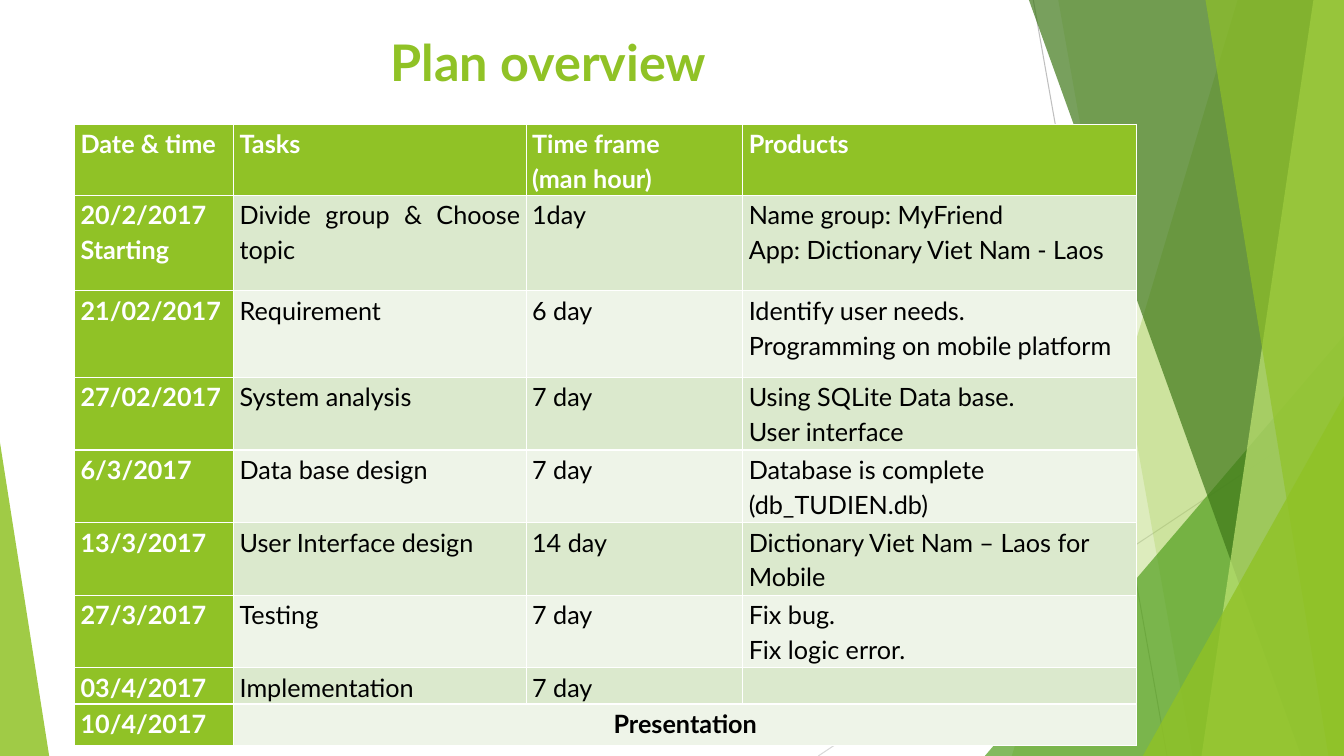
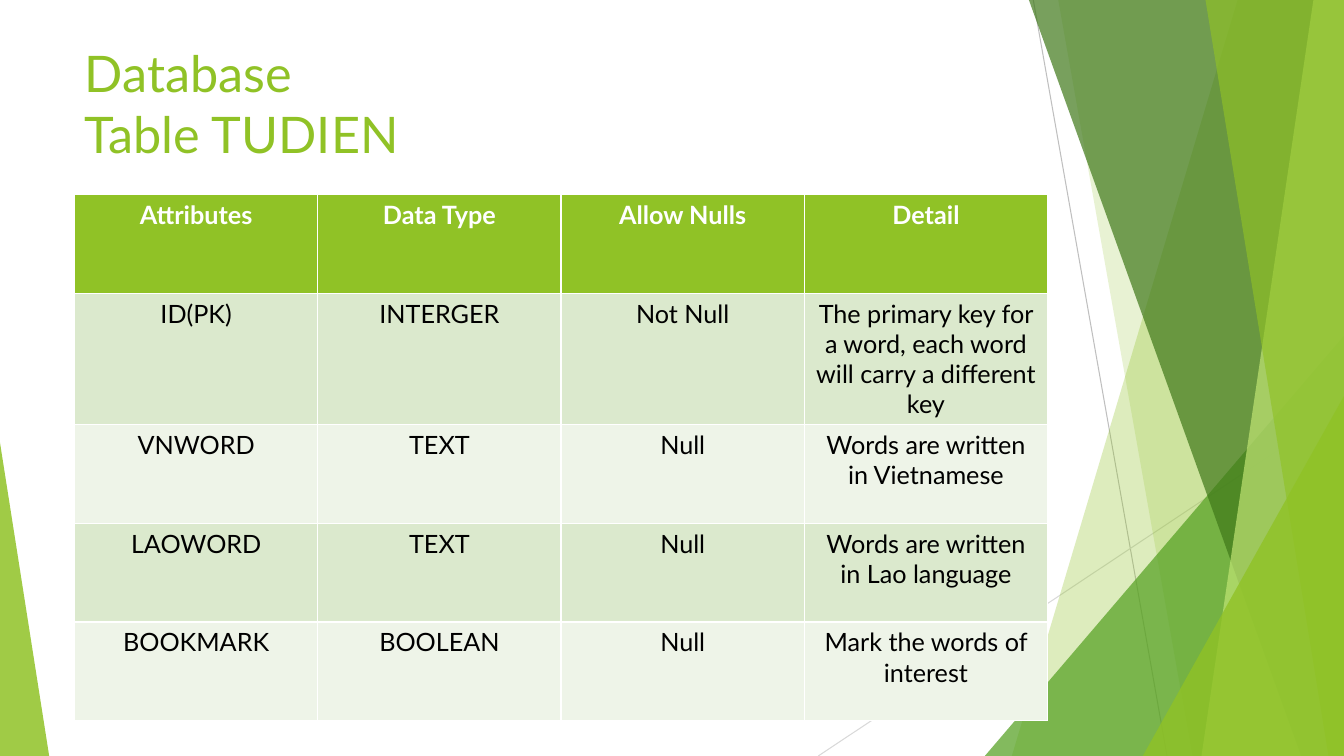
from dataclasses import dataclass

from lxml.etree import SubElement
from pptx import Presentation
from pptx.dml.color import RGBColor
from pptx.enum.shapes import MSO_CONNECTOR, MSO_SHAPE
from pptx.enum.text import MSO_ANCHOR, MSO_AUTO_SIZE, PP_ALIGN
from pptx.oxml.ns import qn
from pptx.util import Cm, Pt

WIDTH, HEIGHT = 33.87, 19.05
LEFT_EDGE = 1.88


@dataclass(frozen=True)
class Theme:
    font: str = "Lato"
    title_size: int = 36
    table_size: int = 18
    lime: str = "90C226"
    green: str = "54A021"
    forest: str = "3F7819"
    pale_lime: str = "C0E474"
    dark_band: str = "DBE9CD"
    light_band: str = "EEF4E8"
    grey: str = "BFBFBF"
    light_grey: str = "D9D9D9"
    white: str = "FFFFFF"
    black: str = "000000"


class Deck:
    def __init__(self, theme):
        self.theme = theme
        self.presentation = Presentation()
        self.presentation.slide_width = Cm(WIDTH)
        self.presentation.slide_height = Cm(HEIGHT)
        self.layout = self.presentation.slide_layouts.get_by_name("Title Only")
        for footer in list(self.layout.placeholders)[1:]:
            self.layout.shapes.element.remove(footer.element)
        self.slide = None

    def start_slide(self, title, top, height, align=PP_ALIGN.LEFT, bold=False):
        self.slide = self.presentation.slides.add_slide(self.layout)
        heading = self.slide.shapes.title
        heading.left, heading.top = Cm(LEFT_EDGE), Cm(top)
        heading.width, heading.height = Cm(23.88), Cm(height)
        frame = heading.text_frame
        frame.text = title
        frame.auto_size = MSO_AUTO_SIZE.NONE
        frame.vertical_anchor = MSO_ANCHOR.TOP
        self.style(frame.paragraphs[0], self.theme.title_size, self.theme.lime, bold, align)

    def style(self, paragraph, size, color, bold, align):
        paragraph.alignment = align
        font = paragraph.font
        font.name, font.size, font.bold = self.theme.font, Pt(size), bold
        font.color.rgb = RGBColor.from_string(color)

    def move_to_layout(self, shape):
        self.layout.shapes.element.append(shape.element)

    def paint(self, shape, color, opacity):
        """Fill without outline or shadow; opacity in percent."""
        shape.shadow.inherit = False
        shape.line.fill.background()
        shape.fill.solid()
        shape.fill.fore_color.rgb = RGBColor.from_string(color)
        tint = shape.element.spPr.find(qn("a:solidFill"))[0]
        SubElement(tint, qn("a:alpha"), val=str(opacity * 1000))

    def hairline(self, x1, y1, x2, y2, color):
        line = self.slide.shapes.add_connector(
            MSO_CONNECTOR.STRAIGHT, Cm(x1), Cm(y1), Cm(x2), Cm(y2))
        line.line.width = Pt(0.75)
        line.line.color.rgb = RGBColor.from_string(color)
        SubElement(line.element.spPr, qn("a:effectLst"))
        self.move_to_layout(line)

    def shard(self, top_x, bottom_x, color, opacity):
        """Full-height band from a slanted left side to the slide's right edge."""
        outline = self.slide.shapes.build_freeform(Cm(top_x), 0)
        outline.add_line_segments(
            [(Cm(WIDTH), 0), (Cm(WIDTH), Cm(HEIGHT)), (Cm(bottom_x), Cm(HEIGHT))])
        band = outline.convert_to_shape()
        self.paint(band, color, opacity)
        self.move_to_layout(band)

    def corner(self, left, right, top, apex, color, opacity):
        """Triangle on the bottom edge; apex is 0 for left and 1 for right."""
        wedge = self.slide.shapes.add_shape(
            MSO_SHAPE.ISOSCELES_TRIANGLE, Cm(left), Cm(top), Cm(right - left), Cm(HEIGHT - top))
        wedge.adjustments[0] = apex
        self.paint(wedge, color, opacity)
        self.move_to_layout(wedge)

    def backdrop(self):
        """Draw the shared facets once, on the layout behind every slide."""
        t = self.theme
        self.hairline(26.04, 0, 29.41, HEIGHT, t.grey)
        self.hairline(WIDTH, 10.24, 20.62, HEIGHT, t.light_grey)
        self.shard(31.19, 25.5, t.lime, 30)
        self.shard(26.67, 30.05, t.lime, 20)
        self.corner(24.82, WIDTH, 8.46, 1, t.green, 72)
        self.shard(25.93, 32.79, t.forest, 70)
        self.shard(33.1, 30.28, t.pale_lime, 70)
        self.shard(30.38, 33.48, t.lime, 65)
        self.corner(28.8, WIDTH, 9.98, 1, t.lime, 80)
        self.corner(0, 1.24, 11.15, 0, t.lime, 85)

    def table(self, rows, top, widths, heights, aligns, row_heads=False, tight=False):
        """Banded table; tight means narrow cell margins and wider line spacing."""
        t = self.theme
        grid = self.slide.shapes.add_table(
            len(rows), len(widths), Cm(LEFT_EDGE), Cm(top),
            Cm(sum(widths)), Cm(sum(heights))).table
        grid.first_col = row_heads
        for column, width in zip(grid.columns, widths):
            column.width = Cm(width)
        for r, (texts, height) in enumerate(zip(rows, heights)):
            grid.rows[r].height = Cm(height)
            band = t.dark_band if r % 2 else t.light_band
            for c, text in enumerate(texts):
                cell = grid.cell(r, c)
                head = r == 0 or (row_heads and c == 0)
                cell.fill.solid()
                cell.fill.fore_color.rgb = RGBColor.from_string(t.lime if head else band)
                if tight:
                    cell.margin_left = cell.margin_right = Cm(0.15)
                    cell.margin_top = cell.margin_bottom = 0
                cell.text = text
                for paragraph in cell.text_frame.paragraphs:
                    self.style(paragraph, t.table_size, t.white if head else t.black,
                               head, aligns[c])
                    if tight:
                        paragraph.line_spacing = 1.15
        return grid


PLAN = [
    ("Date & time", "Tasks", "Time frame\n(man hour)", "Products"),
    ("20/2/2017\nStarting", "Divide group & Choose topic", "1day",
     "Name group: MyFriend\nApp: Dictionary Viet Nam - Laos"),
    ("21/02/2017", "Requirement", "6 day",
     "Identify user needs.\nProgramming on mobile platform"),
    ("27/02/2017", "System analysis", "7 day", "Using SQLite Data base.\nUser interface"),
    ("6/3/2017", "Data base design", "7 day", "Database is complete (db_TUDIEN.db)"),
    ("13/3/2017", "User Interface design", "14 day", "Dictionary Viet Nam – Laos for Mobile"),
    ("27/3/2017", "Testing", "7 day", "Fix bug.\nFix logic error."),
    ("03/4/2017", "Implementation", "7 day", ""),
    ("10/4/2017", "Presentation", "", ""),
]

ATTRIBUTES = [
    ("Attributes", "Data Type", "Allow Nulls", "Detail"),
    ("ID(PK)", "INTERGER", "Not Null",
     "The primary key for a word, each word will carry a different key"),
    ("VNWORD", "TEXT", "Null", "Words are written in Vietnamese"),
    ("LAOWORD", "TEXT", "Null", "Words are written in Lao language"),
    ("BOOKMARK", "BOOLEAN", "Null", "Mark the words of interest"),
]


def main():
    deck = Deck(Theme())

    deck.start_slide("Plan overview", 0.66, 2.21, PP_ALIGN.CENTER, bold=True)
    deck.backdrop()
    plan = deck.table(
        PLAN, 3.13, [4.01, 7.37, 5.46, 9.93],
        [1.79, 2.41, 2.18, *[1.83] * 4, 0.91, 1.04],
        [PP_ALIGN.JUSTIFY] * 3 + [PP_ALIGN.LEFT], row_heads=True, tight=True)
    closing = plan.cell(len(PLAN) - 1, 1)
    closing.merge(plan.cell(len(PLAN) - 1, 3))
    milestone = closing.text_frame.paragraphs[0]
    milestone.alignment = PP_ALIGN.CENTER
    milestone.font.bold = True

    deck.start_slide("Database\vTable TUDIEN", 0.94, 3.66)
    deck.table(ATTRIBUTES, 4.9, [6.13] * 4, [2.49, 3.3, *[2.49] * 3], [PP_ALIGN.CENTER] * 4)

    deck.presentation.save("out.pptx")


if __name__ == "__main__":
    main()
